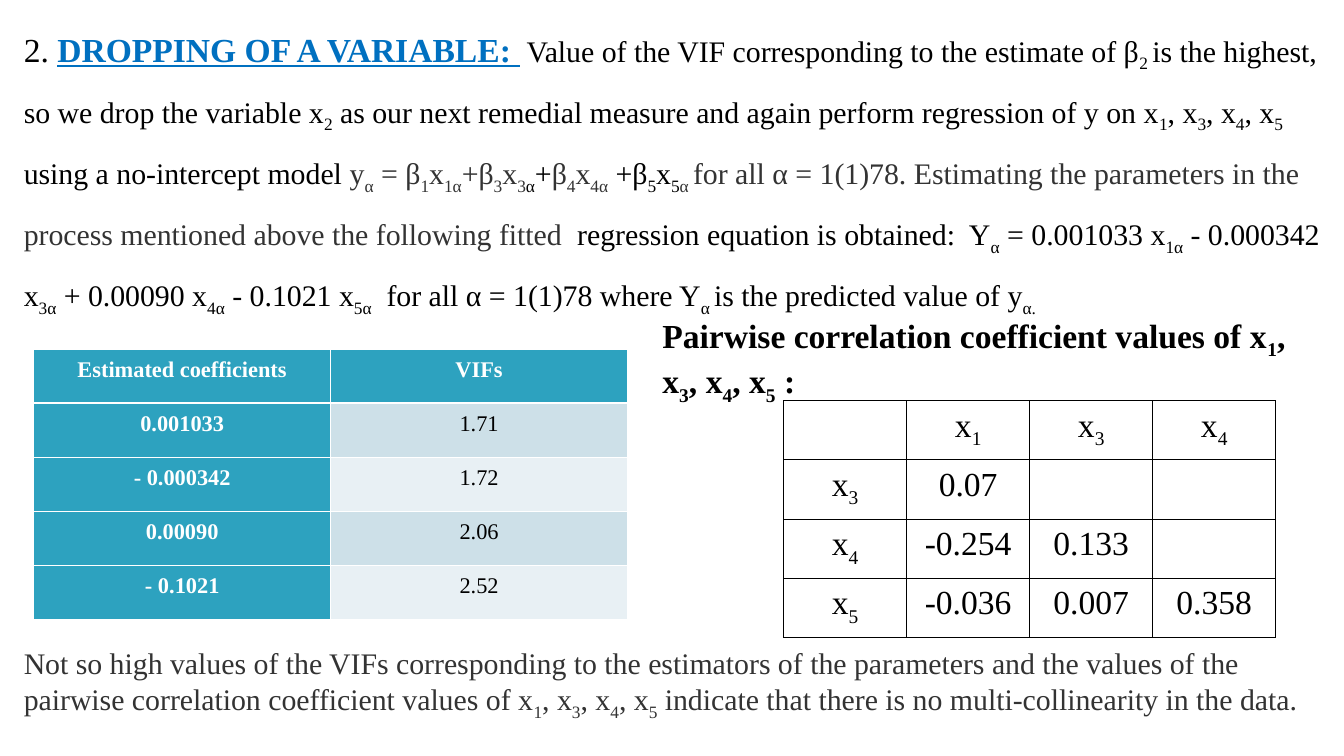
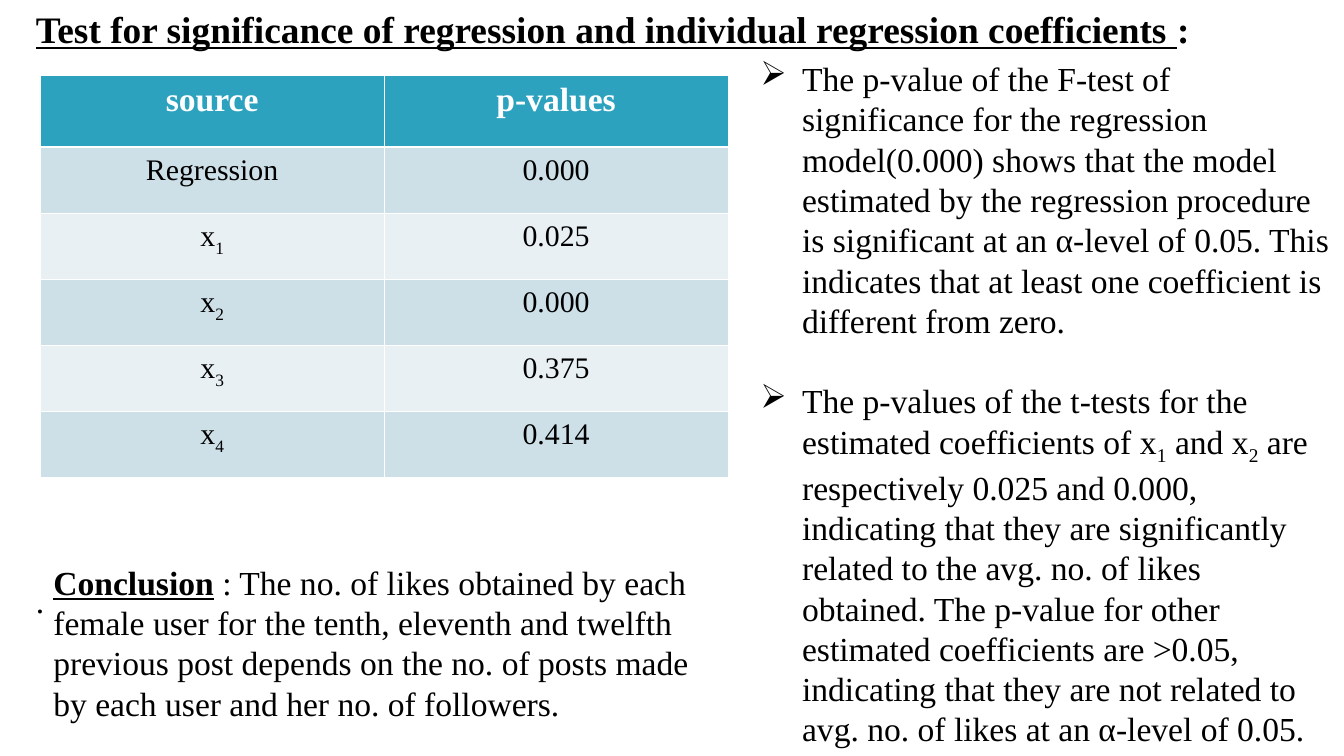
from dataclasses import dataclass

from lxml.etree import SubElement
from pptx import Presentation
from pptx.dml.color import RGBColor as RGB
from pptx.enum.text import MSO_AUTO_SIZE as AutoSize, PP_ALIGN as Align
from pptx.oxml import parse_xml
from pptx.oxml.ns import nsdecls, qn
from pptx.util import Cm, Pt


@dataclass(frozen=True)
class Theme:
    font: str = "Times New Roman"
    black: str = "000000"
    grey: str = "333333"
    white: str = "FFFFFF"
    blue: str = "0070C0"
    teal: str = "2DA2BF"
    band_dark: str = "CDE0E8"
    band_light: str = "E8F0F4"
    title: int = 20
    heading: int = 18
    body: int = 16
    small: int = 12
    thin: float = 0.45
    thick: float = 1.47


T = Theme()


def split_subscripts(text):
    """Yield (text, is_subscript) pairs; a subscript is written _{...}."""
    first, *rest = text.split("_{")
    yield first, False
    for part in rest:
        sub, after = part.split("}", 1)
        yield sub, True
        yield after, False


class Deck:
    def __init__(self, theme):
        self.t = theme
        self.prs = Presentation()
        self.prs.slide_width, self.prs.slide_height = Cm(25.4), Cm(14.29)
        self.s = None

    def slide(self):
        self.s = self.prs.slides.add_slide(self.prs.slide_layouts[6])

    def runs(self, p, text, size, color=T.black, bold=False, underline=False):
        for part, is_sub in split_subscripts(text):
            if not part:
                continue
            r = p.add_run()
            r.text = part
            f = r.font
            f.name, f.size, f.bold, f.underline = self.t.font, Pt(size), bold, underline
            f.color.rgb = RGB.from_string(color)
            if is_sub:
                r._r.get_or_add_rPr().set("baseline", "-25000")

    def bullet(self, p):
        pPr = p._p.get_or_add_pPr()
        pPr.set("marL", str(Cm(0.79)))
        pPr.set("indent", str(-Cm(0.79)))
        color = SubElement(pPr, qn("a:buClr"))
        SubElement(color, qn("a:srgbClr"), val=self.t.black)
        SubElement(pPr, qn("a:buChar"), char="➢")

    def text(self, box, *paragraphs, spacing=None, bullets=False, gap=0):
        """Each paragraph is a list of (text, style) pairs."""
        tf = self.s.shapes.add_textbox(*map(Cm, box)).text_frame
        tf.word_wrap, tf.auto_size = True, AutoSize.NONE
        for i, parts in enumerate(paragraphs):
            p = tf.add_paragraph() if i else tf.paragraphs[0]
            if bullets:
                self.bullet(p)
            if spacing:
                p.line_spacing = spacing
            if i and gap:
                p.space_before = Pt(gap)
            for text, style in parts:
                self.runs(p, text, **style)

    def borders(self, cell, color, **widths):
        tcPr = cell._tc.get_or_add_tcPr()
        for i, side in enumerate("LRTB"):
            width = Pt(widths.get(side, self.t.thin))
            tcPr.insert(i, parse_xml(
                f'<a:ln{side} {nsdecls("a")} w="{width}"><a:solidFill>'
                f'<a:srgbClr val="{color}"/></a:solidFill></a:ln{side}>'))

    def table(self, left, top, width, heights, rows, look, line, inset=0.25, spacing=None):
        """look(row, col) gives the cell's fill and text style."""
        n = len(rows[0])
        tbl = self.s.shapes.add_table(len(rows), n, Cm(left), Cm(top),
                                      Cm(width), Cm(sum(heights))).table
        tbl.first_row = tbl.horz_banding = False
        for col in tbl.columns:
            col.width = Cm(width / n)
        for i, (row, height) in enumerate(zip(rows, heights)):
            tbl.rows[i].height = Cm(height)
            for j, value in enumerate(row):
                cell = tbl.cell(i, j)
                cell.margin_left = cell.margin_right = Cm(inset)
                fill, style = look(i, j)
                if fill:
                    cell.fill.solid()
                    cell.fill.fore_color.rgb = RGB.from_string(fill)
                else:
                    cell.fill.background()
                rule = {0: "B", 1: "T"}.get(i) if fill else None
                self.borders(cell, line, **({rule: self.t.thick} if rule else {}))
                p = cell.text_frame.paragraphs[0]
                p.alignment = Align.CENTER
                if spacing:
                    p.line_spacing = spacing
                self.runs(p, value, **style)

    def banded(self, head_size, size, head_column=False):
        """Look of a teal table with a header row and, if asked, a header column."""
        def look(i, j):
            if i == 0 or (head_column and j == 0):
                return self.t.teal, dict(size=size if i else head_size,
                                         color=self.t.white, bold=True)
            return (self.t.band_dark if i % 2 else self.t.band_light), dict(size=size)
        return look


HEADING = dict(size=T.heading)
STRONG = dict(size=T.heading, bold=True)
BODY = dict(size=T.body)
GREY = dict(size=T.body, color=T.grey)


def variable_dropping(d):
    d.slide()

    # Explanation and fitted equation
    d.text((0.2, 0, 25.2, 14.29), [
        ("2. ", HEADING),
        ("DROPPING OF A VARIABLE: ",
         dict(size=T.heading, color=T.blue, bold=True, underline=True)),
        (" Value of the VIF corresponding to the estimate of β_{2 }is the highest, so we "
         "drop the variable x_{2} as our next remedial measure and again perform regression "
         "of y on x_{1}, x_{3}, x_{4}, x_{5} using a no-intercept model ", BODY),
        ("y_{α} = β_{1}x_{1α}+β_{3}x_{3}", GREY),
        ("_{α}+", BODY),
        ("β_{4}x_{4α}", GREY),
        (" +β_{5}x_{5}", BODY),
        ("_{α }for all α = 1(1)78. Estimating the parameters in the process mentioned "
         "above the following fitted ", GREY),
        (" regression equation is obtained:  Y_{α} = 0.001033 x_{1α} - 0.000342 x_{3α} + "
         "0.00090 x_{4α} - 0.1021 x_{5α}  for all α = 1(1)78 where Y_{α }is the predicted "
         "value of y_{α.}", BODY),
    ], spacing=1.5)

    # Coefficients and their VIFs
    vifs = [["Estimated coefficients", "VIFs"],
            ["0.001033", "1.71"],
            ["- 0.000342", "1.72"],
            ["0.00090", "2.06"],
            ["- 0.1021", "2.52"]]
    d.table(0.64, 6.6, 11.22, [1.02] * 5, vifs, d.banded(T.small, T.small, head_column=True),
            T.white, inset=0.2, spacing=1.07)

    # Pairwise correlations
    d.text((12.27, 5.82, 12.7, 1.98), [
        ("Pairwise correlation coefficient values of x_{1}, x_{3}, x_{4}, x_{5} :", STRONG)])
    correlations = [["", "x_{1}", "x_{3}", "x_{4}"],
                    ["x_{3}", "0.07", "", ""],
                    ["x_{4}", "-0.254", "0.133", ""],
                    ["x_{5}", "-0.036", "0.007", "0.358"]]
    d.table(14.81, 7.57, 9.3, [1.12] * 4, correlations, lambda i, j: (None, HEADING), T.black)

    # Reading of both tables
    d.text((0.2, 12.07, 24.82, 1.7), [
        ("Not so high values of the VIFs corresponding to the estimators of the parameters "
         "and the values of the pairwise correlation coefficient values of x_{1}, x_{3}, "
         "x_{4}, x_{5} indicate that there is no multi-collinearity in the data.", GREY)])


def significance_test(d):
    d.slide()

    # Title
    d.text((0.43, 0, 24.33, 1.12), [
        ("Test for significance of regression and individual regression coefficients ",
         dict(size=T.title, bold=True, underline=True)),
        (":", dict(size=T.title, bold=True))])

    # p-values
    p_values = [["source", "p-values"],
                ["Regression", "0.000"],
                ["x_{1}", "0.025"],
                ["x_{2}", "0.000"],
                ["x_{3}", "0.375"],
                ["x_{4}", "0.414"]]
    d.table(0.76, 1.42, 13, [1.36] + [1.25] * 5, p_values, d.banded(T.heading, T.body), T.white)

    # Interpretation
    d.text((14.12, 0.97, 11.28, 13.31), [
        ("The p-value of the F-test of significance for the regression model(0.000) shows "
         "that the model estimated by the regression procedure is significant at an α-level "
         "of 0.05. This indicates that at least one coefficient is different from zero.",
         HEADING)], [
        ("The p-values of the t-tests for the estimated coefficients of x_{1} and x_{2} are "
         "respectively 0.025 and 0.000, indicating that they are significantly related to "
         "the avg. no. of likes obtained. The p-value for other estimated coefficients are "
         ">0.05, indicating that they are not related to avg. no. of likes at an α-level "
         "of 0.05.", HEADING)], bullets=True, gap=21.6)

    # Conclusion
    d.text((0.43, 10.46, 13.72, 1.4), [(".", HEADING)], spacing=1.5)
    d.text((0.76, 10.49, 12.7, 3.3), [
        ("Conclusion", dict(size=T.heading, bold=True, underline=True)),
        (" : The no. of likes obtained by each female user for the tenth, eleventh and "
         "twelfth previous post depends on the no. of posts made by each user and her no. "
         "of followers.", HEADING)])


def main():
    d = Deck(T)
    variable_dropping(d)
    significance_test(d)
    d.prs.save("out.pptx")


if __name__ == "__main__":
    main()
